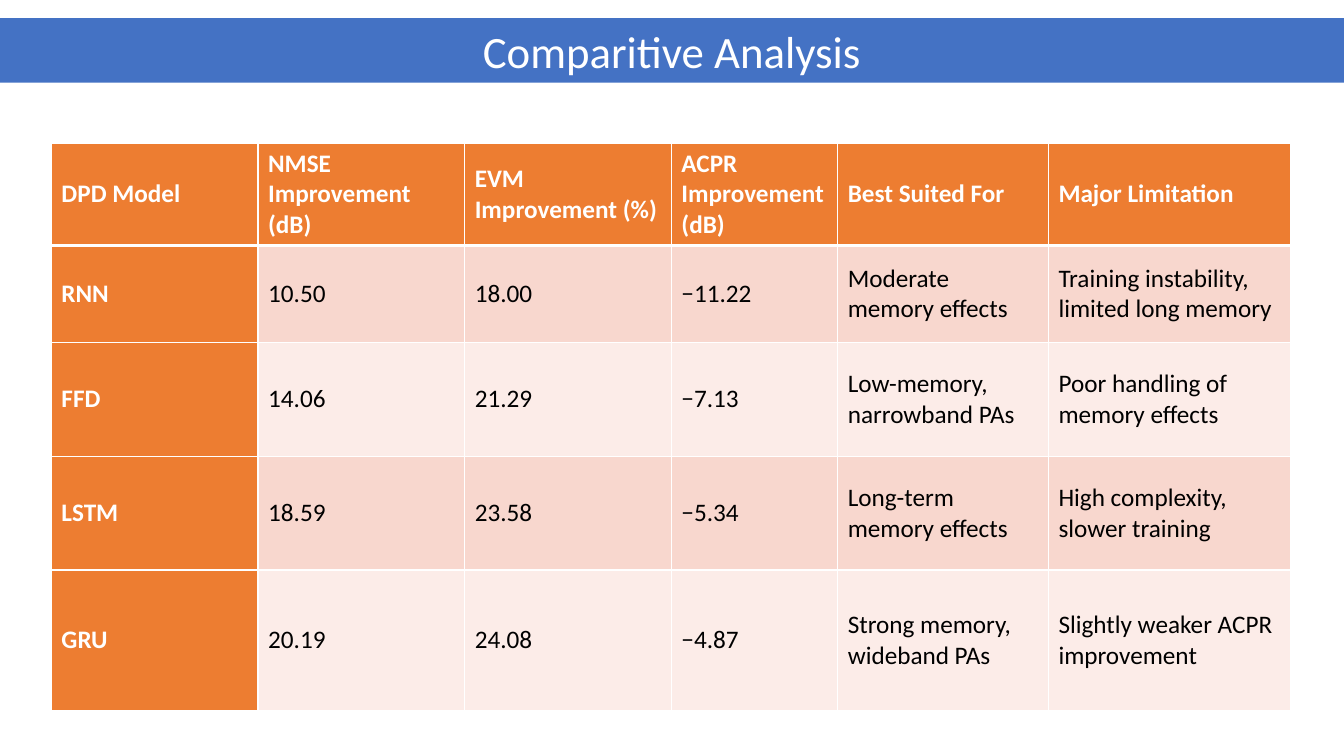
import pptx
import pptx.util
import pptx.dml.color
import pptx.enum.text
import pptx.oxml.ns
import lxml.etree

Inches, Pt = pptx.util.Inches, pptx.util.Pt

# Content
HEADING = "Comparitive Analysis"
MODELS = [
    ("DPD Model", "NMSE Improvement (dB)", "EVM Improvement (%)",
     "ACPR Improvement (dB)", "Best Suited For", "Major Limitation"),
    ("RNN", "10.50", "18.00", "−11.22",
     "Moderate memory effects", "Training instability, limited long memory"),
    ("FFD", "14.06", "21.29", "−7.13",
     "Low-memory, narrowband PAs", "Poor handling of memory effects"),
    ("LSTM", "18.59", "23.58", "−5.34",
     "Long-term memory effects", "High complexity, slower training"),
    ("GRU", "20.19", "24.08", "−4.87",
     "Strong memory, wideband PAs", "Slightly weaker ACPR improvement"),
]
COLUMN_WIDTHS = [2.05, 2.05, 2.05, 1.65, 2.09, 2.4]
ROW_HEIGHTS = [0.96, 0.96, 1.13, 1.13, 1.39]
COLORS = {"banner": "4472C4", "header": "ED7D31", "odd": "F8D7CE",
          "even": "FCECE8", "light": "FFFFFF", "dark": "000000"}
FONT = "Calibri"


def rgb(name):
    return pptx.dml.color.RGBColor.from_string(COLORS[name])


def add_text(frame, text, size, color, bold=False):
    frame.vertical_anchor = pptx.enum.text.MSO_ANCHOR.MIDDLE
    run = frame.paragraphs[0].add_run()
    run.text = text
    run.font.name, run.font.size, run.font.bold = FONT, Pt(size), bold
    run.font.color.rgb = rgb(color)


def add_borders(cell, widths):
    properties = cell._tc.get_or_add_tcPr()
    qn = pptx.oxml.ns.qn
    for side, width in widths.items():
        line = lxml.etree.SubElement(properties, qn("a:ln" + side), w=str(Pt(width)))
        fill = lxml.etree.SubElement(line, qn("a:solidFill"))
        lxml.etree.SubElement(fill, qn("a:srgbClr"), val=COLORS["light"])


presentation = pptx.Presentation()
presentation.slide_width, presentation.slide_height = Inches(13.33), Inches(7.5)
slide = presentation.slides.add_slide(presentation.slide_layouts[5])

# Title banner across the full width
banner = slide.shapes.title
banner.left, banner.top = Inches(0), Inches(0.18)
banner.width, banner.height = presentation.slide_width, Inches(0.64)
banner.fill.solid()
banner.fill.fore_color.rgb = rgb("banner")
banner.text_frame.auto_size = pptx.enum.text.MSO_AUTO_SIZE.NONE
banner.text_frame.paragraphs[0].alignment = pptx.enum.text.PP_ALIGN.CENTER
add_text(banner.text_frame, HEADING, 32, "light")

# Comparison table
comparison = slide.shapes.add_table(
    len(MODELS), len(COLUMN_WIDTHS), Inches(0.51), Inches(1.42),
    Inches(sum(COLUMN_WIDTHS)), Inches(sum(ROW_HEIGHTS))).table
for column, width in zip(comparison.columns, COLUMN_WIDTHS):
    column.width = Inches(width)
for row, height in zip(comparison.rows, ROW_HEIGHTS):
    row.height = Inches(height)

# Cells: header row and model column are orange, the rest is banded
for r, model in enumerate(MODELS):
    for c, value in enumerate(model):
        cell = comparison.cell(r, c)
        is_header = r == 0 or c == 0
        add_borders(cell, {"L": 1, "R": 1, "T": 3 if r == 1 else 1,
                           "B": 3 if r == 0 else 1})
        cell.fill.solid()
        cell.fill.fore_color.rgb = rgb(
            "header" if is_header else "odd" if r % 2 else "even")
        cell.vertical_anchor = pptx.enum.text.MSO_ANCHOR.MIDDLE
        add_text(cell.text_frame, value, 18,
                 "light" if is_header else "dark", is_header)

presentation.save("out.pptx")
